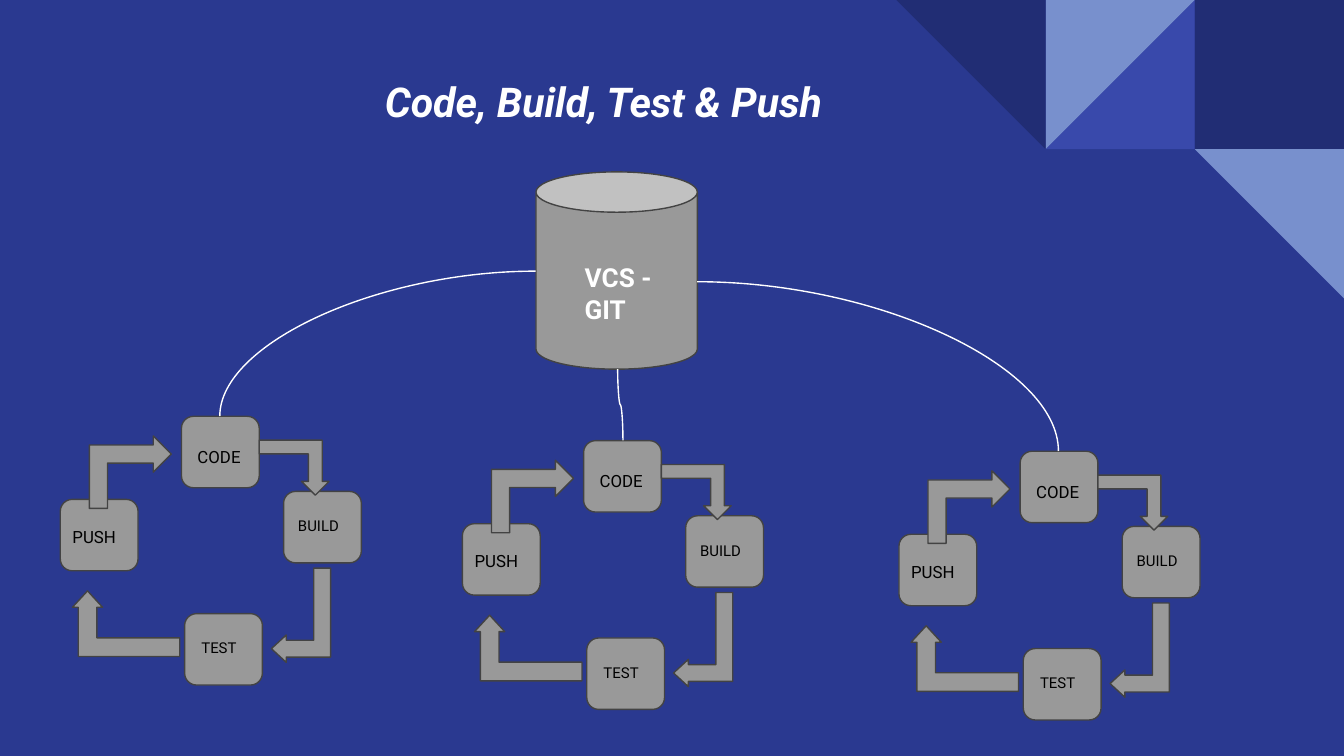
from pptx import Presentation
from pptx.dml.color import RGBColor
from pptx.enum.shapes import MSO_CONNECTOR as LINK, MSO_SHAPE as SHAPE
from pptx.enum.text import PP_ALIGN as ALIGN
from pptx.oxml.ns import qn
from pptx.oxml.xmlchemy import OxmlElement
from pptx.util import Cm, Pt

COLOURS = {
    "background": "2A3990", "navy": "212D74", "indigo": "3949AB",
    "sky": "7890CD", "grey": "999999", "outline": "434343",
    "white": "FFFFFF", "black": "000000",
}
SLIDE_W, SLIDE_H = 25.4, 14.29
TILE = 2.82


def colour(name):
    return RGBColor.from_string(COLOURS[name])


class Deck:
    """Holds the style and the current slide; lengths are in centimetres."""

    font_name = "Roboto"
    line_width = Pt(0.75)

    def __init__(self):
        self.file = Presentation()
        self.file.slide_width, self.file.slide_height = Cm(SLIDE_W), Cm(SLIDE_H)
        self.slide = self.file.slides.add_slide(self.file.slide_layouts[6])
        fill = self.slide.background.fill
        fill.solid()
        fill.fore_color.rgb = colour("background")

    def shape(self, kind, box, fill="grey", line="outline", turn=0, flip=False,
              adjust=()):
        item = self.slide.shapes.add_shape(kind, *map(Cm, box))
        item.shadow.inherit = False
        item.rotation = turn
        if flip:
            item.element.spPr.find(qn("a:xfrm")).set("flipH", "1")
        for index, value in enumerate(adjust):
            item.adjustments[index] = value
        item.fill.solid()
        item.fill.fore_color.rgb = colour(fill)
        if line:
            item.line.color.rgb = colour(line)
            item.line.width = self.line_width
        else:
            item.line.fill.background()

    def text(self, lines, box, ink="black", align=ALIGN.CENTER, **font_format):
        frame = self.slide.shapes.add_textbox(*map(Cm, box)).text_frame
        frame.word_wrap = True
        for side in ("left", "top", "right", "bottom"):
            setattr(frame, f"margin_{side}", Cm(0.25))
        frame.text = "\n".join(lines)
        for paragraph in frame.paragraphs:
            paragraph.alignment = align
            font = paragraph.runs[0].font
            font.color.rgb = colour(ink)
            for key, value in {"name": self.font_name, **font_format}.items():
                setattr(font, key, value)

    def curve(self, preset, box, turn, flip):
        left, top, width, height = box
        link = self.slide.shapes.add_connector(
            LINK.CURVE, Cm(left), Cm(top), Cm(left + width), Cm(top + height))
        link.line.color.rgb = colour("white")
        link.line.width = self.line_width
        properties = link.element.spPr
        properties.append(OxmlElement("a:effectLst"))
        properties.find(qn("a:prstGeom")).set("prst", preset)
        frame = properties.find(qn("a:xfrm"))
        frame.set("rot", str(turn * 60000))
        if flip:
            frame.set("flipH", "1")


# Corner mosaic: columns from the right edge, row, kind, fill, turn, flip
MOSAIC = [
    (1, 0, SHAPE.RECTANGLE, "navy", 0, False),
    (2, 0, SHAPE.RIGHT_TRIANGLE, "indigo", 0, True),
    (2, 0, SHAPE.RIGHT_TRIANGLE, "sky", 180, True),
    (3, 0, SHAPE.RIGHT_TRIANGLE, "navy", 180, False),
    (1, 1, SHAPE.RIGHT_TRIANGLE, "sky", 180, False),
]

# One cycle, measured from the corner of its CODE step
STEP_SIZE, LABEL_SIZE = (1.47, 1.35), (1.42, 0.58)
STEPS = [  # name, step corner, label corner, text size
    ("BUILD", (1.93, 1.42), (1.88, 1.73), 8),
    ("CODE", (0, 0), (0, 0.38), 9),
    ("TEST", (0.06, 3.73), (0, 4.04), 8),
    ("PUSH", (-2.29, 1.57), (-2.36, 1.89), 9),
]
EVEN_BEND, WIDE_BEND = (0.25, 0.25, 0.25), (0.284, 0.23, 0.25)
ARROWS = [  # corner, size, turn, bend
    ((1.47, 0.45), (1.32, 1.04), 180, EVEN_BEND),
    ((-1.65, 0.28), (1.37, 1.55), 90, EVEN_BEND),
    ((1.37, 3.2), (1.78, 1.12), 270, WIDE_BEND),
    ((-2.06, 3.3), (2.03, 1.24), 0, WIDE_BEND),
]
CYCLES = [(3.43, 7.87), (11.03, 8.33), (19.28, 8.53)]

# Curves from the repository to each cycle
BRANCHES = [
    ("curvedConnector2", (5.77, 3.51, 2.74, 5.97), 270, False),
    ("curvedConnector3", (11.05, 7.6, 1.35, 0.1), 90, True),
    ("curvedConnector2", (14.99, 3.51, 3.2, 6.83), 90, True),
]


def draw_cycle(deck, origin):
    def placed(corner, size):
        return (origin[0] + corner[0], origin[1] + corner[1], *size)

    for name, step, label, size in STEPS:
        deck.shape(SHAPE.FLOWCHART_ALTERNATE_PROCESS, placed(step, STEP_SIZE))
        deck.text([name], placed(label, LABEL_SIZE), size=Pt(size))
    for corner, size, turn, bend in ARROWS:
        deck.shape(SHAPE.BENT_UP_ARROW, placed(corner, size), turn=turn,
                   flip=True, adjust=bend)


def main():
    deck = Deck()

    # Corner mosaic
    for column, row, kind, fill, turn, flip in MOSAIC:
        deck.shape(kind, (SLIDE_W - column * TILE, row * TILE, TILE, TILE),
                   fill, None, turn, flip)

    # Title
    deck.text(["Code, Build, Test & Push"], (5.54, 1.19, 11.73, 1.45), "white",
              size=Pt(22), bold=True, italic=True)

    # Development cycles
    for origin in CYCLES:
        draw_cycle(deck, origin)

    # Repository and its branches
    deck.shape(SHAPE.CAN, (10.13, 3.25, 3.05, 3.73), adjust=[0.25])
    deck.text(["VCS -", "GIT"], (10.8, 4.7, 2.39, 1.24), "white", ALIGN.LEFT,
              size=Pt(14), bold=True)
    for branch in BRANCHES:
        deck.curve(*branch)

    deck.file.save("out.pptx")


if __name__ == "__main__":
    main()
